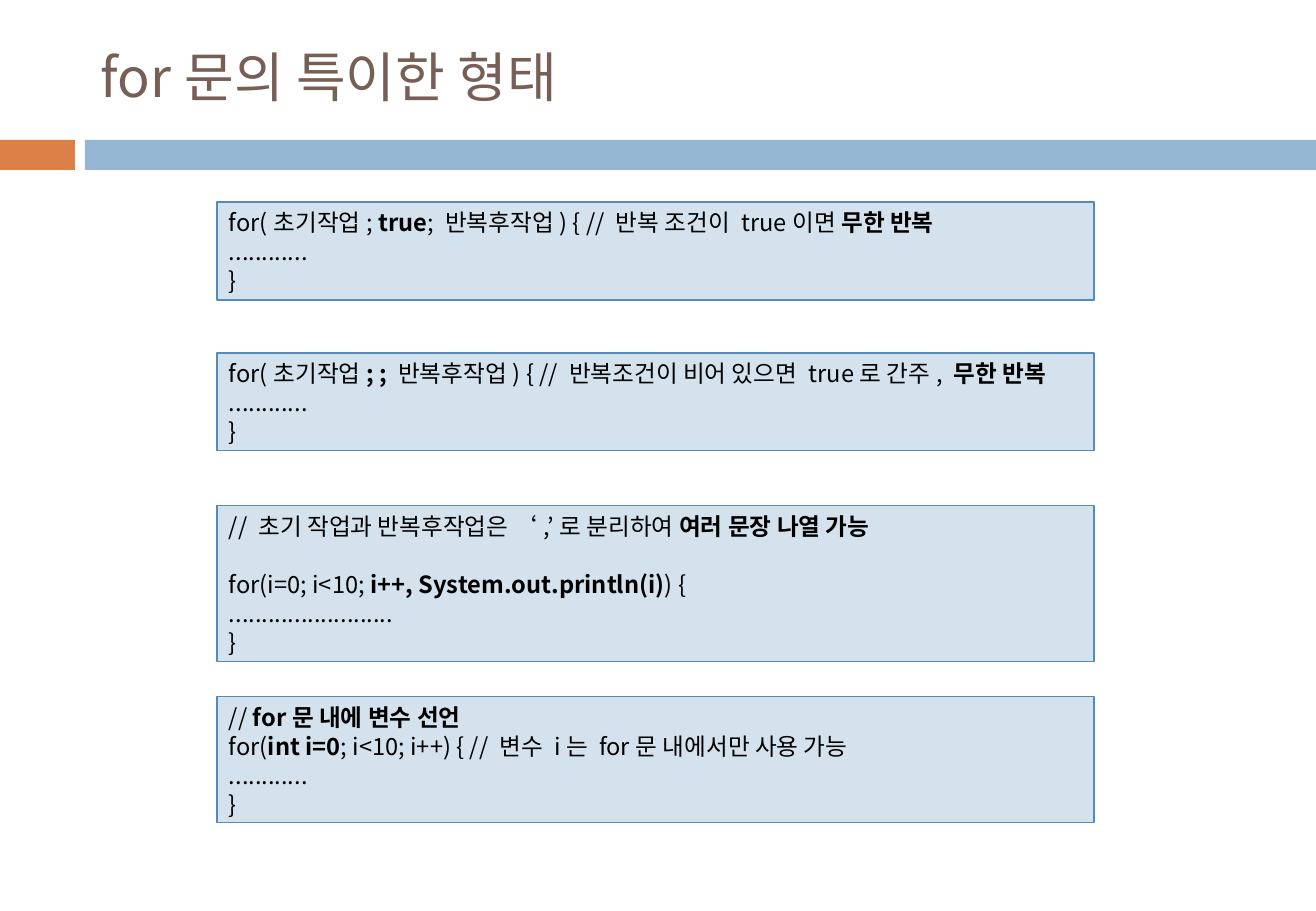
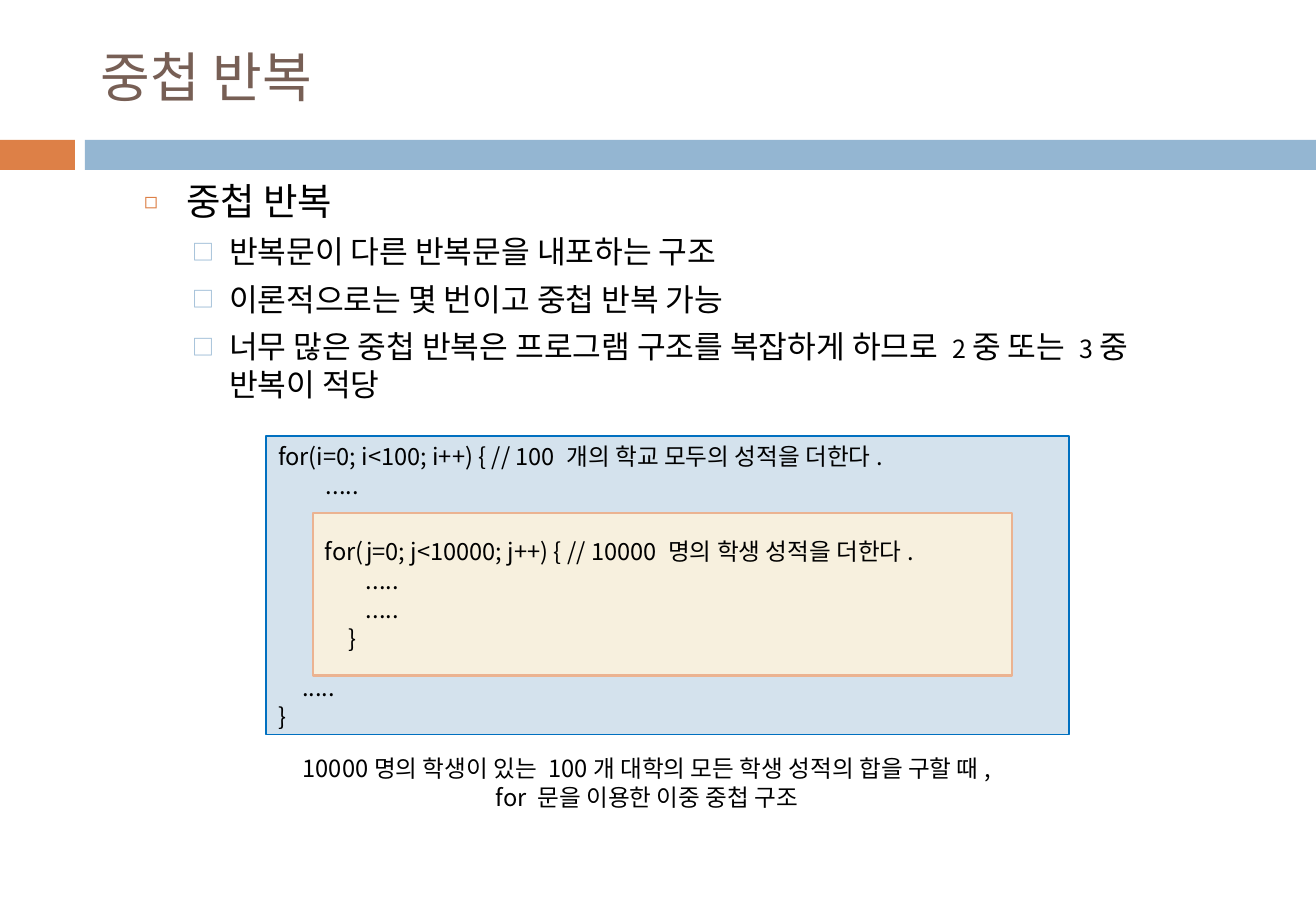
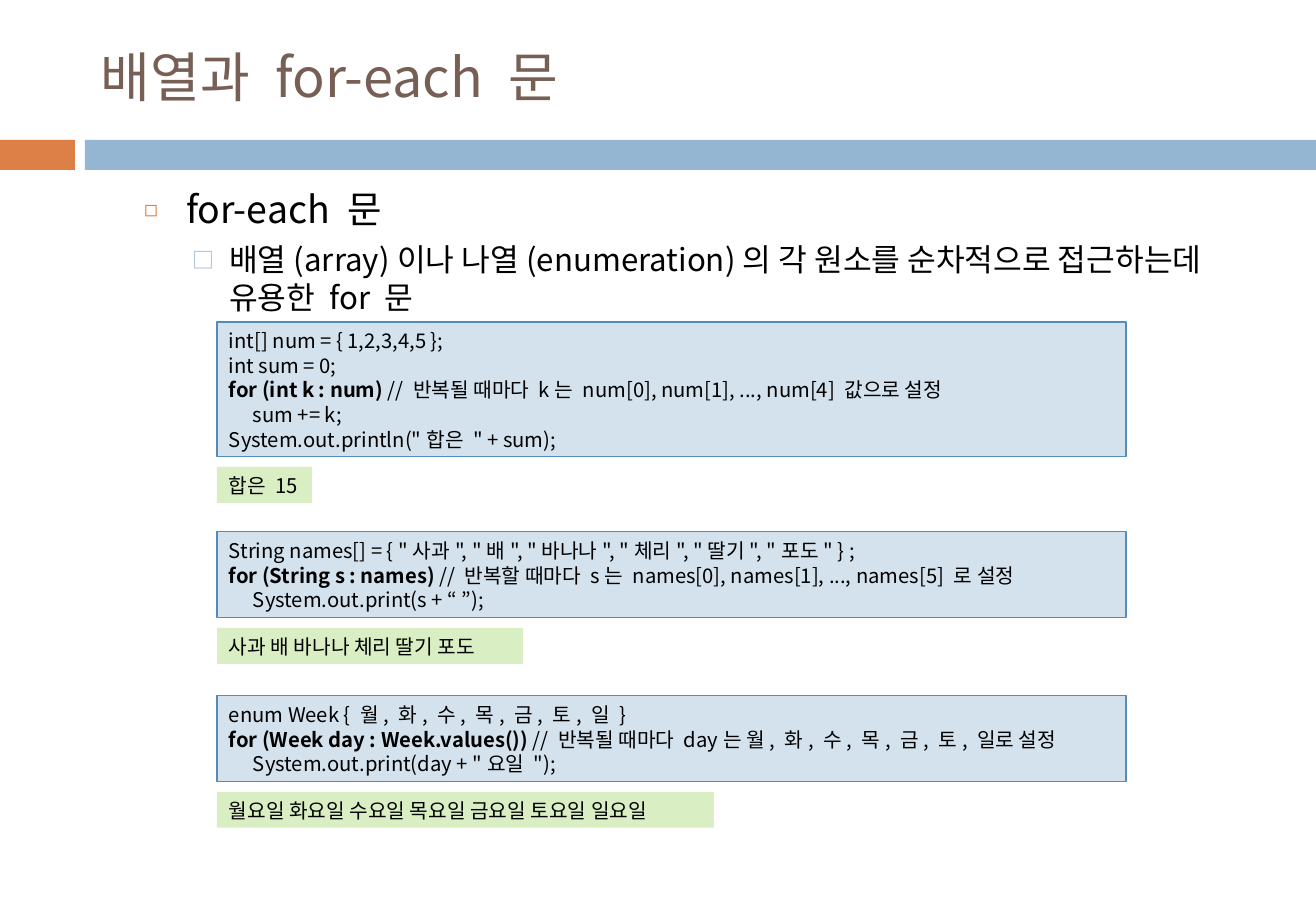
from dataclasses import dataclass

from lxml import etree
from pptx import Presentation
from pptx.dml.color import RGBColor
from pptx.enum.shapes import MSO_SHAPE
from pptx.enum.text import MSO_ANCHOR, PP_ALIGN
from pptx.oxml.ns import qn
from pptx.util import Inches, Pt

RECT = MSO_SHAPE.RECTANGLE
TOP, MIDDLE = MSO_ANCHOR.TOP, MSO_ANCHOR.MIDDLE
LEFT, CENTER = PP_ALIGN.LEFT, PP_ALIGN.CENTER
SCALE = Inches(1) / 121.5


@dataclass(frozen=True)
class Theme:
    font: str = "Noto Sans CJK KR"
    lead: float = 1.22
    ink: str = "000000"
    title: str = "775F55"
    accent: str = "DD8047"
    band: str = "94B6D2"
    code: str = "D4E2ED"
    edge: str = "558BB8"
    frame: str = "0070C0"
    inner: str = "F7F0DE"
    rim: str = "EBB391"
    result: str = "DAEEC4"
    head: float = 32
    text: float = 14
    small: float = 12
    digit: float = 14.8


THEME = Theme()

# Bullet levels: size, left and hanging indent in px, space before, sign, colour, sign %
LEVELS = [
    (22.2, 42, 42, 0, "◻", THEME.accent, 60),
    (18.5, 85, 36, 5.5, "□", THEME.band, 70),
]

# Content: *stars* mark bold; a tuple is (text, indent in px, blank lines before)
FORMS = [
    (202, 98, ["for(초기작업; *true*; 반복후작업) { // 반복 조건이 true이면 *무한 반복*",
               "............", "}"]),
    (353, 98, ["for(초기작업*; ; *반복후작업) { // 반복조건이 비어 있으면 true로 간주, *무한 반복*",
               "............", "}"]),
    (506, 156, ["// 초기 작업과 반복후작업은 ‘,’로 분리하여 *여러 문장 나열 가능*",
                ("for(i=0; i<10; *i++, System.out.println(i)*) {", 0, 1),
                ".........................", "}"]),
    (697, 126, ["// *for문 내에 변수 선언*",
                "for(*int i=0*; i<10; i++) { // 변수 i는 for문 내에서만 사용 가능",
                "............", "}"]),
]

NESTED = [
    (0, "중첩 반복"),
    (1, "반복문이 다른 반복문을 내포하는 구조"),
    (1, "이론적으로는 몇 번이고 중첩 반복 가능"),
    (1, "너무 많은 중첩 반복은 프로그램 구조를 복잡하게 하므로 *2*중 또는 *3*중 반복이 적당"),
]
OUTER = ["for(i=0; i<100; i++) { // 100 개의 학교 모두의 성적을 더한다.",
         (".....", 48, 0), (".....", 24, 6), "}"]
INNER = ["for(j=0; j<10000; j++) { // 10000 명의 학생 성적을 더한다.",
         (".....", 41, 0), (".....", 41, 0), ("}", 24, 0)]
CAPTION = ["10000명의 학생이 있는 100개 대학의 모든 학생 성적의 합을 구할 때,",
           "for 문을 이용한 이중 중첩 구조"]

EACH = [
    (0, "for-each 문"),
    (1, "배열(array)이나 나열(enumeration)의 각 원소를 순차적으로 접근하는데 유용한 for 문"),
]
LOOPS = [
    (322, 135, ["int[] num = { 1,2,3,4,5 };", "int sum = 0;",
                "*for (int k : num) *// 반복될 때마다 k는 num[0], num[1], ..., num[4] 값으로 설정",
                ("sum += k;", 24, 0), 'System.out.println("합은 " + sum);'],
     "합은 15", 95),
    (532, 86, ['String names[] = { "사과", "배", "바나나", "체리", "딸기", "포도" } ;',
               "*for (String s : names) *// 반복할 때마다 s는 names[0], names[1], ..., names[5] 로 설정",
               ("System.out.print(s + “ ”);", 24, 0)],
     "사과 배 바나나 체리 딸기 포도", 306),
    (696, 86, ["enum Week { 월, 화, 수, 목, 금, 토, 일 }",
               "*for (Week day : Week.values()) *// 반복될 때마다 day는 월, 화, 수, 목, 금, 토, 일로 설정",
               ('System.out.print(day + "요일 ");', 24, 0)],
     "월요일 화요일 수요일 목요일 금요일 토요일 일요일", 497),
]


def px(n):
    return round(n * SCALE)


def style(run, size, color, bold=False):
    font = run.font
    font.size, font.bold, font.name = Pt(size), bold, THEME.font
    font.color.rgb = RGBColor.from_string(color)
    etree.SubElement(run.font._element, qn("a:ea"), typeface=THEME.font)


def write(para, text, size, color=THEME.ink, mark=None):
    """Fill a paragraph; starred parts are bold, or take the size in mark."""
    para.line_spacing = Pt(size * THEME.lead)
    for i, part in enumerate(text.split("*")):
        if part:
            run = para.add_run()
            run.text = part
            star = i % 2 == 1
            style(run, mark if star and mark else size, color, star and not mark)


def indent(para, left, first=0):
    props = para._p.get_or_add_pPr()
    props.set("marL", str(px(left)))
    props.set("indent", str(px(first)))
    return props


def paras(frame, count):
    return [frame.paragraphs[0]] + [frame.add_paragraph() for _ in range(count - 1)]


def rect(slide, at, fill, line=None, width=0.75):
    shape = slide.shapes.add_shape(RECT, *map(px, at))
    shape.shadow.inherit = False
    shape.fill.solid()
    shape.fill.fore_color.rgb = RGBColor.from_string(fill)
    if line:
        shape.line.color.rgb = RGBColor.from_string(line)
        shape.line.width = Pt(width)
    else:
        shape.line.fill.background()
    return shape


def label(slide, at):
    return slide.shapes.add_textbox(*map(px, at))


def fill(shape, lines, size=THEME.text, color=THEME.ink, align=LEFT, anchor=TOP):
    frame = shape.text_frame
    frame.word_wrap, frame.vertical_anchor = True, anchor
    for para, line in zip(paras(frame, len(lines)), lines):
        text, left, skip = (line, 0, 0) if isinstance(line, str) else line
        para.alignment = align
        if left:
            indent(para, left)
        if skip:
            para.space_before = Pt(skip * size * THEME.lead)
        write(para, text, size, color)
    return frame


def bullets(slide, at, items):
    frame = label(slide, at).text_frame
    frame.word_wrap = True
    for para, (level, text) in zip(paras(frame, len(items)), items):
        size, left, hang, before, sign, color, share = LEVELS[level]
        para.level = level
        para.space_before = Pt(before)
        write(para, text, size, mark=THEME.digit)
        props = indent(para, left, -hang)
        tint = etree.SubElement(props, qn("a:buClr"))
        etree.SubElement(tint, qn("a:srgbClr"), val=color)
        etree.SubElement(props, qn("a:buSzPct"), val=str(share * 1000))
        etree.SubElement(props, qn("a:buFont"), typeface=THEME.font)
        etree.SubElement(props, qn("a:buChar"), char=sign)


def start(deck, title):
    """Add a slide with the shared bands and title."""
    slide = deck.slides.add_slide(deck.slide_layouts[6])
    rect(slide, (-1, 140, 76, 30), THEME.accent)
    rect(slide, (85, 140, 1231, 30), THEME.band)
    fill(label(slide, (89, 30, 1174, 90)), [title], THEME.head, THEME.title,
         anchor=MIDDLE)
    return slide


def forms(deck):
    slide = start(deck, "for문의 특이한 형태")
    for top, high, lines in FORMS:
        fill(rect(slide, (217, top, 877, high), THEME.code, THEME.edge), lines)


def nested(deck):
    slide = start(deck, "중첩 반복")
    bullets(slide, (132, 171, 1084, 237), NESTED)
    fill(rect(slide, (266, 436, 803, 299), THEME.code, THEME.frame), OUTER)
    fill(rect(slide, (313, 513, 699, 163), THEME.inner, THEME.rim, 1.5), INNER,
         anchor=MIDDLE)
    fill(label(slide, (266, 748, 762, 69)), CAPTION, align=CENTER)


def each(deck):
    slide = start(deck, "배열과 for-each 문")
    bullets(slide, (132, 179, 1084, 124), EACH)
    for top, high, lines, result, wide in LOOPS:
        fill(rect(slide, (217, top, 909, high), THEME.code, THEME.edge), lines,
             THEME.small)
        box = rect(slide, (217, top + high + 10, wide, 36), THEME.result)
        fill(box, [result], THEME.small).margin_right = 0


def main():
    deck = Presentation()
    deck.slide_width, deck.slide_height = Inches(10.83), Inches(7.5)
    for build in (forms, nested, each):
        build(deck)
    deck.save("out.pptx")


if __name__ == "__main__":
    main()
